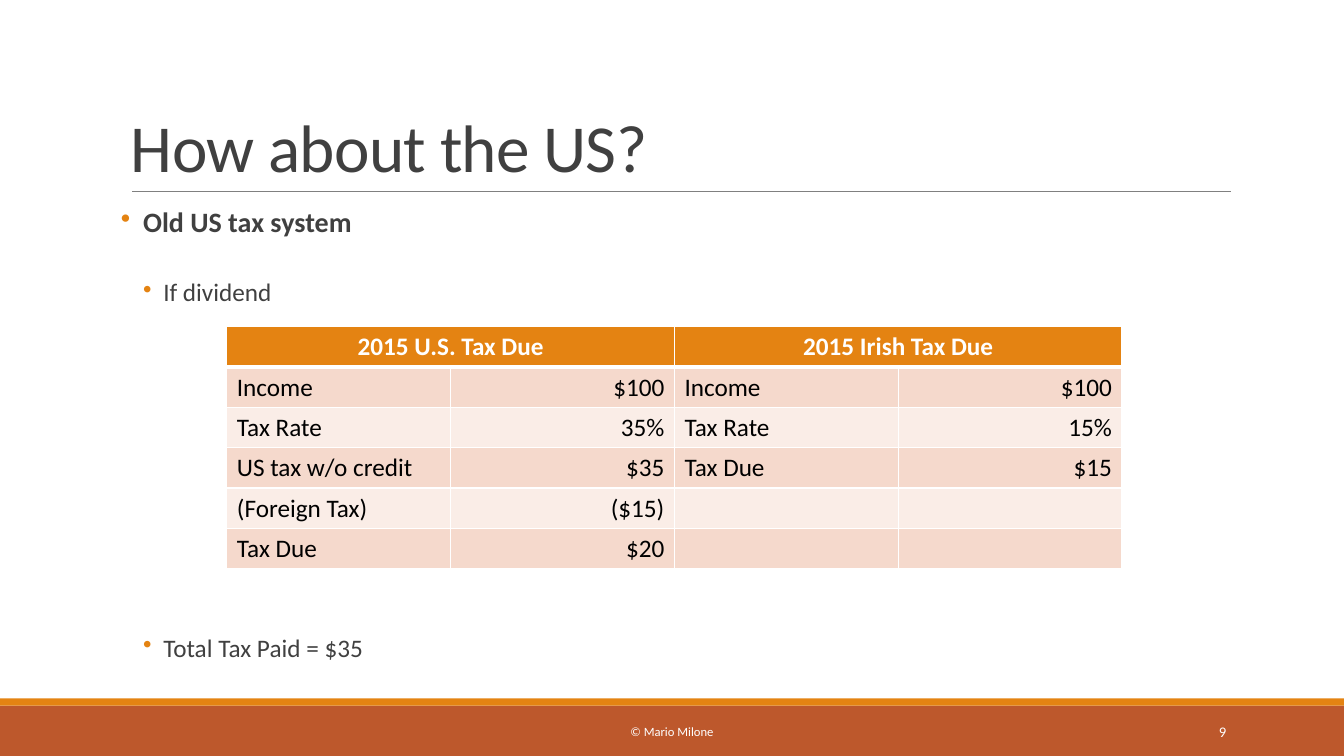
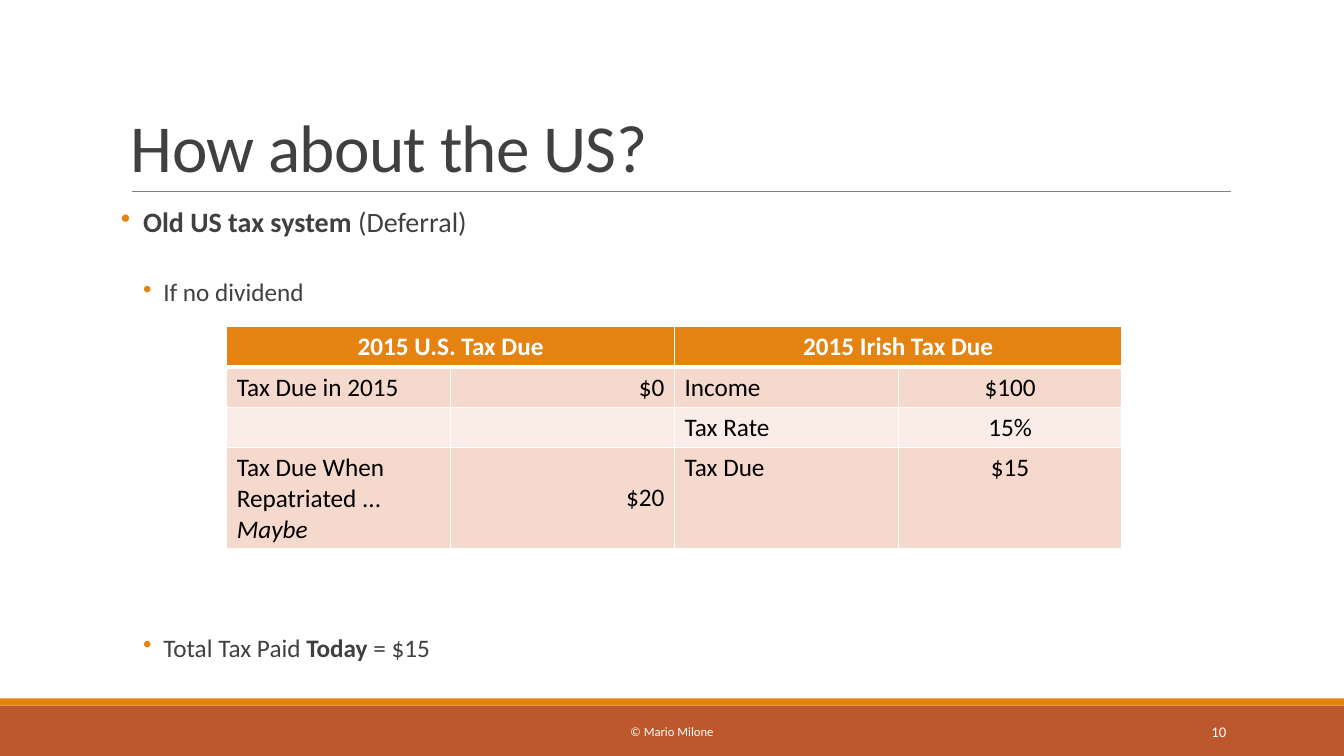
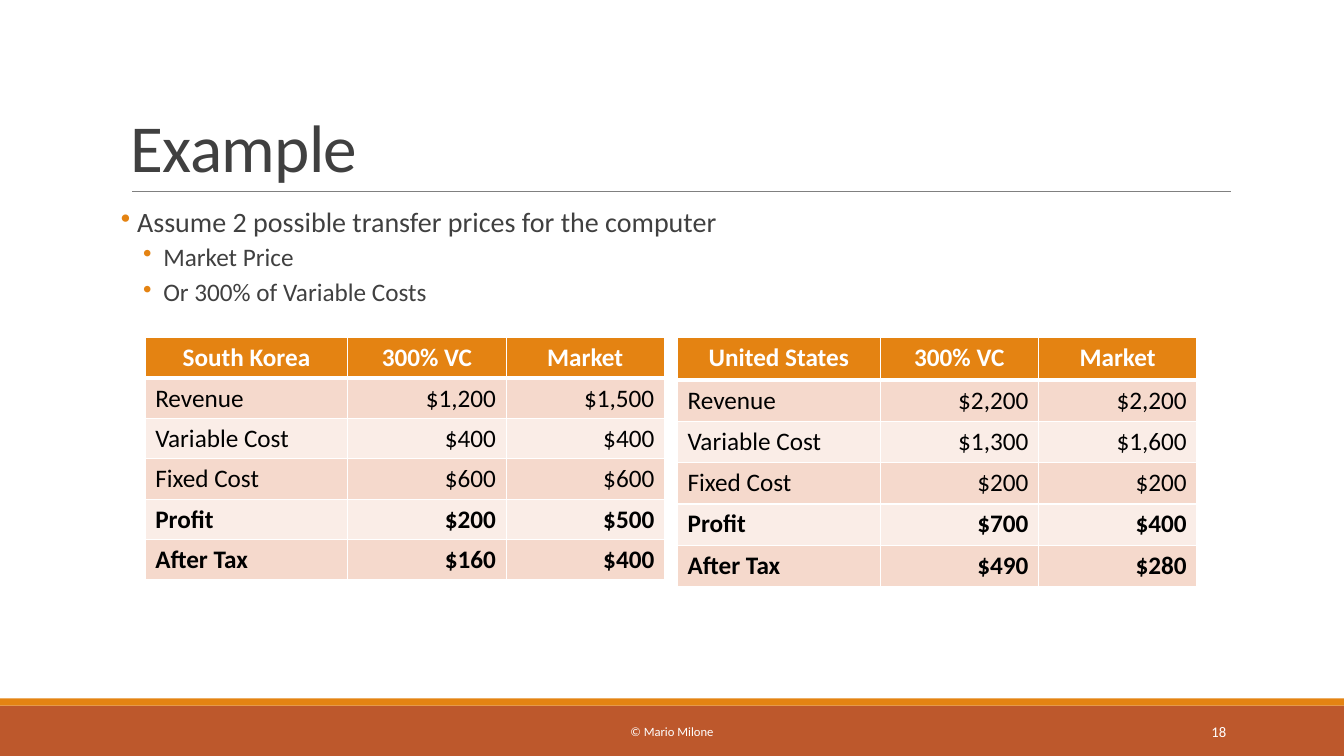
"""Builds three slides on international tax and transfer pricing."""
import collections
import dataclasses

import lxml.etree
import pptx
import pptx.dml.color
import pptx.enum.shapes
import pptx.enum.text
import pptx.oxml.ns
import pptx.util

Inches = pptx.util.Inches
Pt = pptx.util.Pt
Align = pptx.enum.text.PP_ALIGN
Anchor = pptx.enum.text.MSO_ANCHOR
Span = collections.namedtuple("Span", "text bold italic", defaults=(False, False))


@dataclasses.dataclass(frozen=True)
class Theme:
    font: str = "Calibri"
    text: str = "404040"
    white: str = "FFFFFF"
    black: str = "000000"
    orange: str = "E48312"
    rust: str = "BD582C"
    rule: str = "808080"
    bands: tuple = ("F5D9CC", "FAEDE7")
    title_size: float = 48
    lead_size: float = 20
    body_size: float = 18
    number_size: float = 10.5
    footer_size: float = 9


def color(value):
    return pptx.dml.color.RGBColor.from_string(value)


def add_element(parent, tag, **attributes):
    return lxml.etree.SubElement(parent, pptx.oxml.ns.qn(tag), attributes)


class Deck:
    def __init__(self, theme):
        self.theme = theme
        self.presentation = pptx.Presentation()
        self.presentation.slide_width = Inches(13.33)
        self.presentation.slide_height = Inches(7.5)
        self.slide = None

    def start_slide(self, title, number):
        theme = self.theme
        self.slide = self.presentation.slides.add_slide(self.presentation.slide_layouts[6])
        self.band(7, 0.5, theme.rust)
        self.band(6.93, 0.07, theme.orange)
        self.rule(1.31, 12.21, 1.9)
        heading = self.text_box(1.2, 0.31, 11, 1.59, Anchor.BOTTOM).paragraphs[0]
        self.add_text(heading, title, theme.title_size, theme.text)
        heading.line_spacing = 0.85
        heading.runs[0]._r.get_or_add_rPr().set("spc", "-50")
        self.footer(4.03, 5.27, "© Mario Milone", theme.footer_size, Align.CENTER)
        self.footer(10.83, 1.43, str(number), theme.number_size, Align.RIGHT)

    def band(self, top, height, fill):
        shape = self.slide.shapes.add_shape(
            pptx.enum.shapes.MSO_SHAPE.RECTANGLE,
            0, Inches(top), self.presentation.slide_width, Inches(height))
        shape.shadow.inherit = False
        shape.fill.solid()
        shape.fill.fore_color.rgb = color(fill)
        shape.line.fill.background()

    def rule(self, left, right, top):
        connector = self.slide.shapes.add_connector(
            pptx.enum.shapes.MSO_CONNECTOR.STRAIGHT,
            Inches(left), Inches(top), Inches(right), Inches(top))
        connector.line.color.rgb = color(self.theme.rule)
        connector.line.width = Pt(0.5)
        add_element(connector._element.spPr, "a:effectLst")

    def text_box(self, left, top, width, height, anchor):
        shape = self.slide.shapes.add_textbox(
            Inches(left), Inches(top), Inches(width), Inches(height))
        shape.text_frame.word_wrap = True
        shape.text_frame.vertical_anchor = anchor
        return shape.text_frame

    def add_text(self, paragraph, content, size, ink, bold=False):
        spans = [Span(content, bold)] if isinstance(content, str) else content
        for span in spans:
            run = paragraph.add_run()
            run.text = span.text
            run.font.name = self.theme.font
            run.font.size = Pt(size)
            run.font.color.rgb = color(ink)
            run.font.bold = span.bold
            run.font.italic = span.italic

    def footer(self, left, width, text, size, alignment):
        paragraph = self.text_box(left, 7.06, width, 0.4, Anchor.MIDDLE).paragraphs[0]
        self.add_text(paragraph, text, size, self.theme.white)
        paragraph.alignment = alignment

    def body(self, lead, points, lead_margin=0.22):
        frame = self.text_box(1.2, 2.02, 11, 4.4, Anchor.TOP)
        frame.margin_left = frame.margin_right = 0
        self.bullet(frame.paragraphs[0], lead, self.theme.lead_size,
                    lead_margin, lead_margin, 12, 2)
        for space_before, content in points:
            paragraph = frame.add_paragraph()
            paragraph.level = 1
            self.bullet(paragraph, content, self.theme.body_size, 0.42, 0.2, space_before, 4)

    def bullet(self, paragraph, content, size, margin, hanging, space_before, space_after):
        self.add_text(paragraph, content, size, self.theme.text)
        paragraph.line_spacing = 0.9
        paragraph.space_before = Pt(space_before)
        paragraph.space_after = Pt(space_after)
        properties = paragraph._p.get_or_add_pPr()
        properties.set("marL", str(Inches(margin)))
        properties.set("indent", str(-Inches(hanging)))
        add_element(add_element(properties, "a:buClr"), "a:srgbClr", val=self.theme.orange)
        add_element(properties, "a:buChar", char="•")

    def table(self, left, top, widths, rows, alignments,
              row_heights=None, middle_columns=(), bold_rows=0):
        heights = row_heights or [0.4] * len(rows)
        table = self.slide.shapes.add_table(
            len(rows), len(widths), Inches(left), Inches(top),
            Inches(sum(widths)), Inches(sum(heights))).table
        for column, width in zip(table.columns, widths):
            column.width = Inches(width)
        for row, height in zip(table.rows, heights):
            row.height = Inches(height)
        for row_index, row in enumerate(rows):
            bold = row_index == 0 or row_index >= len(rows) - bold_rows
            for column_index, content in enumerate(row):
                cell = table.cell(row_index, column_index)
                self.style_cell(cell, row_index)
                if content is None:
                    table.cell(row_index, column_index - 1).merge(cell)
                elif content:
                    paragraph = cell.text_frame.paragraphs[0]
                    ink = self.theme.black if row_index else self.theme.white
                    self.add_text(paragraph, content, self.theme.body_size, ink, bold)
                    paragraph.alignment = alignments[column_index] if row_index else Align.CENTER
                if row_index and column_index in middle_columns:
                    cell.vertical_anchor = Anchor.MIDDLE

    def style_cell(self, cell, row_index):
        properties = cell._tc.get_or_add_tcPr()
        widths = {"L": 1, "R": 1, "T": 3 if row_index == 1 else 1, "B": 1 if row_index else 3}
        for side, width in widths.items():
            border = add_element(properties, f"a:ln{side}", w=str(Pt(width)))
            add_element(add_element(border, "a:solidFill"), "a:srgbClr", val=self.theme.white)
        fill = self.theme.bands[(row_index - 1) % 2] if row_index else self.theme.orange
        cell.fill.solid()
        cell.fill.fore_color.rgb = color(fill)


deck = Deck(Theme())
tax_header = ("2015 U.S. Tax Due", None, "2015 Irish Tax Due", None)
tax_widths = [2.22] * 4
old_system = Span("Old US tax system", True)

deck.start_slide("How about the US?", 9)
deck.body([old_system], [(27.5, "If dividend"), (230.5, "Total Tax Paid = $35")])
deck.table(2.25, 3.24, tax_widths, [
    tax_header,
    ("Income", "$100", "Income", "$100"),
    ("Tax Rate", "35%", "Tax Rate", "15%"),
    ("US tax w/o credit", "$35", "Tax Due", "$15"),
    ("(Foreign Tax)", "($15)", "", ""),
    ("Tax Due", "$20", "", ""),
], (Align.LEFT, Align.RIGHT) * 2)

deck.start_slide("How about the US?", 10)
deck.body([old_system, Span(" (Deferral)")], [
    (27.5, "If no dividend"),
    (230.5, [Span("Total Tax Paid "), Span("Today ", True), Span("= $15")]),
])
deck.table(2.25, 3.24, tax_widths, [
    tax_header,
    ("Tax Due in 2015", "$0", "Income", "$100"),
    ("", "", "Tax Rate", "15%"),
    ([Span("Tax Due When Repatriated ... "), Span("Maybe", italic=True)],
     "$20", "Tax Due", "$15"),
], (Align.LEFT, Align.RIGHT, Align.LEFT, Align.CENTER), middle_columns=(1,))

deck.start_slide("Example", 18)
deck.body("Assume 2 possible transfer prices for the computer",
          [(2, "Market Price"), (2, "Or 300% of Variable Costs")], lead_margin=0.16)
row_names = ("Revenue", "Variable Cost", "Fixed Cost", "Profit", "After Tax")
countries = (
    ("South Korea", 1.44, [0.4] * 6,
     ("$1,200", "$400", "$600", "$200", "$160"),
     ("$1,500", "$400", "$600", "$500", "$400")),
    ("United States", 6.72, [0.42] + [0.41] * 5,
     ("$2,200", "$1,300", "$200", "$700", "$490"),
     ("$2,200", "$1,600", "$200", "$400", "$280")),
)
for country, left, heights, variable_cost_prices, market_prices in countries:
    deck.table(left, 3.35, (2.01, 1.57, 1.57),
               [(country, "300% VC", "Market"),
                *zip(row_names, variable_cost_prices, market_prices)],
               (Align.LEFT, Align.RIGHT, Align.RIGHT), row_heights=heights, bold_rows=2)

deck.presentation.save("out.pptx")
